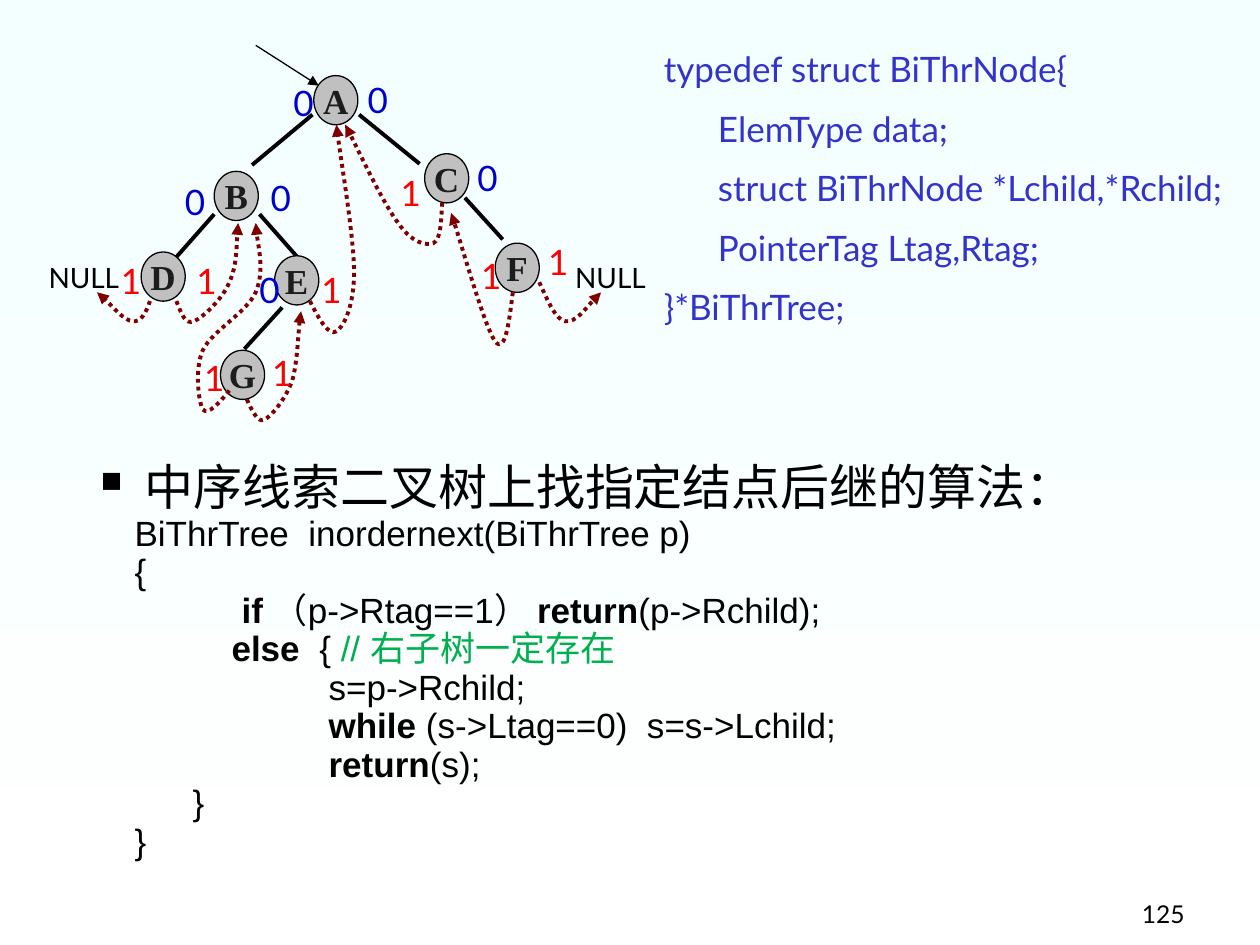
import dataclasses

import lxml.etree
import pptx
import pptx.dml.color
import pptx.enum.dml
import pptx.enum.shapes
import pptx.enum.text
import pptx.oxml.ns
import pptx.util

Inches, Pt, qn = pptx.util.Inches, pptx.util.Pt, pptx.oxml.ns.qn
ALIGN, ANCHOR = pptx.enum.text.PP_ALIGN, pptx.enum.text.MSO_ANCHOR


@dataclasses.dataclass(frozen=True)
class Theme:
    ink: str = "000000"
    node_ink: str = "1C1C1C"
    node_fill: str = "C0C0C0"
    thread: str = "800000"
    struct: str = "3333CC"
    child_tag: str = "0000CC"
    thread_tag: str = "FF0000"
    comment: str = "00B050"
    sky: str = "F3FFFF"
    white: str = "FFFFFF"
    sans: str = "Lato"
    serif: str = "Times New Roman"
    code: str = "Arial"
    heading_size: int = 28
    body_size: int = 20
    null_size: int = 16
    page_size: int = 14
    thin: float = 0.75
    thick: float = 2.25


def rgb(value):
    return pptx.dml.color.RGBColor.from_string(value)


def assign(target, values):
    for name, value in values.items():
        setattr(target, name, value)


class TreeSlide:
    """Draw the parts of a threaded-tree slide in one theme."""

    def __init__(self, deck, theme):
        self.theme = theme
        self.slide = deck.slides.add_slide(deck.slide_layouts[6])

    def background(self):
        fill = self.slide.background.fill
        fill.gradient()
        fill.gradient_angle = 270
        for stop, color, position in zip(fill.gradient_stops, (self.theme.sky, self.theme.white), (0, 1)):
            assign(stop, {"position": position})
            stop.color.rgb = rgb(color)

    def add_words(self, paragraph, text, size, color, font, bold=False):
        run = paragraph.add_run()
        run.text = text
        assign(run.font, {"size": Pt(size), "name": font, "bold": bold})
        run.font.color.rgb = rgb(color)

    def indent(self, paragraph, left, first=0):
        properties = paragraph._p.get_or_add_pPr()
        properties.set("marL", str(Inches(left)))
        properties.set("indent", str(Inches(first)))
        return properties

    def frame(self, left, top, width, height, inset=0.1, anchor=ANCHOR.TOP):
        box = self.slide.shapes.add_textbox(Inches(left), Inches(top), Inches(width), Inches(height))
        assign(box.text_frame, {"word_wrap": True, "vertical_anchor": anchor,
                                "margin_left": Inches(inset), "margin_right": Inches(inset)})
        return box.text_frame

    def label(self, text, box, size, color, align=ALIGN.LEFT, **layout):
        paragraph = self.frame(*box, **layout).paragraphs[0]
        paragraph.alignment = align
        self.add_words(paragraph, text, size, color, self.theme.sans)

    def tag(self, value, left, top, inset):
        color = self.theme.thread_tag if value else self.theme.child_tag
        self.label(str(value), (left, top, 0.2, 0.43), self.theme.body_size, color, inset=inset)

    def stroke(self, shape, color, width, arrow=False, dash=None):
        assign(shape.line, {"width": Pt(width), "dash_style": dash})
        shape.line.color.rgb = rgb(color)
        if arrow:
            outline = shape._element.spPr.get_or_add_ln()
            lxml.etree.SubElement(outline, qn("a:tailEnd"), type="triangle")

    def line(self, start, end, width, arrow=False):
        connector = self.slide.shapes.add_connector(
            pptx.enum.shapes.MSO_CONNECTOR.STRAIGHT, *map(Inches, start + end))
        self.stroke(connector, self.theme.ink, width, arrow)
        lxml.etree.SubElement(connector._element.spPr, qn("a:effectLst"))

    def node(self, name, left, top):
        oval = self.slide.shapes.add_shape(pptx.enum.shapes.MSO_SHAPE.OVAL, Inches(left), Inches(top),
                                           Inches(0.35), Inches(0.39))
        oval.shadow.inherit = False
        oval.fill.solid()
        oval.fill.fore_color.rgb = rgb(self.theme.node_fill)
        self.stroke(oval, self.theme.ink, self.theme.thin)
        assign(oval.text_frame, {"word_wrap": False, "vertical_anchor": ANCHOR.MIDDLE})
        paragraph = oval.text_frame.paragraphs[0]
        paragraph.alignment = ALIGN.CENTER
        self.add_words(paragraph, name, self.theme.body_size, self.theme.node_ink, self.theme.serif, True)

    def thread(self, start, *controls):
        points = [tuple(map(Inches, point)) for point in controls]
        builder = self.slide.shapes.build_freeform(*map(Inches, start))
        builder.add_line_segments(points, close=False)
        curve = builder.convert_to_shape()
        segments = list(curve._element.iter(qn("a:lnTo")))
        for first in range(0, len(segments), 3):
            bezier = lxml.etree.Element(qn("a:cubicBezTo"))
            segments[first].addprevious(bezier)
            for segment in segments[first:first + 3]:
                bezier.append(segment[0])
                segment.getparent().remove(segment)
        curve.shadow.inherit = False
        curve.fill.background()
        self.stroke(curve, self.theme.thread, self.theme.thick, True, pptx.enum.dml.MSO_LINE.ROUND_DOT)

    def struct(self, lines):
        text = self.frame(5.17, 0.33, 4.83, 2.44)
        for row, (left, words) in enumerate(lines):
            paragraph = text.add_paragraph() if row else text.paragraphs[0]
            paragraph.space_before = Pt(10 if row else 0)
            self.indent(paragraph, left)
            self.add_words(paragraph, words, self.theme.body_size, self.theme.struct, self.theme.sans)

    def algorithm(self, heading, lines):
        theme = self.theme
        text = self.frame(0.58, 3.57, 9.03, 3.89)
        title = text.paragraphs[0]
        bullet = self.indent(title, 0.47, -0.35)
        lxml.etree.SubElement(bullet, qn("a:buSzPct"), val="60000")
        lxml.etree.SubElement(bullet, qn("a:buChar"), char="■")
        self.add_words(title, heading, theme.heading_size, theme.ink, theme.serif)
        for left, *runs in lines:
            paragraph = text.add_paragraph()
            paragraph.line_spacing = Pt(22)
            self.indent(paragraph, left)
            for words, bold, color in runs:
                self.add_words(paragraph, words, theme.body_size, color, theme.code, bold)


def main():
    deck = pptx.Presentation()
    assign(deck, {"slide_width": Inches(10), "slide_height": Inches(7.5)})
    theme = Theme()
    page = TreeSlide(deck, theme)
    page.background()

    def plain(words):
        return words, False, theme.ink

    def keyword(words):
        return words, True, theme.ink

    page.algorithm("中序线索二叉树上找指定结点后继的算法：", [
        (0.39, plain("BiThrTree  inordernext(BiThrTree p)")),
        (0.39, plain("{")),
        (1.24, keyword("if "), plain("（p->Rtag==1） "), keyword("return"), plain("(p->Rchild);")),
        (1.16, keyword("else  "), plain("{ "), ("// 右子树一定存在", False, theme.comment)),
        (1.93, plain("s=p->Rchild;")),
        (1.93, keyword("while"), plain(" (s->Ltag==0)  s=s->Lchild;")),
        (1.93, keyword("return"), plain("(s);")),
        (0.85, plain("}")),
        (0.39, plain("}"))])
    page.struct([(0, "typedef struct BiThrNode{"), (0.43, "ElemType data;"),
                 (0.43, "struct BiThrNode *Lchild,*Rchild;"),
                 (0.43, "PointerTag Ltag,Rtag;"), (0, "}*BiThrTree;")])

    for start, end in [((2.48, 0.91), (2, 1.31)), ((2.85, 0.91), (3.33, 1.3)), ((2.06, 1.7), (2.36, 2.04)),
                       ((2.24, 2.44), (1.94, 2.77)), ((1.7, 1.7), (1.4, 2.04)), ((3.69, 1.57), (3.99, 1.9))]:
        page.line(start, end, theme.thick)
    for name, left, top in [("B", 1.7, 1.36), ("A", 2.49, 0.6), ("C", 3.37, 1.22), ("E", 2.18, 2.03),
                            ("D", 1.12, 2), ("G", 1.75, 2.78), ("F", 3.93, 1.93)]:
        page.node(name, left, top)
    page.line((2.03, 0.36), (2.53, 0.68), theme.thin, arrow=True)

    for points in [
        [(4.07, 2.32), (4.04, 2.56), (4.01, 2.81), (3.93, 2.71), (3.85, 2.6), (3.64, 1.86), (3.58, 1.69)],
        [(4.28, 2.24), (4.35, 2.39), (4.41, 2.54), (4.49, 2.55), (4.57, 2.56), (4.73, 2.35), (4.77, 2.32)],
        [(1.19, 2.39), (1.16, 2.48), (1.12, 2.56), (1.05, 2.55), (0.98, 2.54), (0.82, 2.35), (0.77, 2.32)],
        [(1.4, 2.39), (1.44, 2.49), (1.47, 2.58), (1.54, 2.55), (1.61, 2.52), (1.77, 2.37), (1.82, 2.24),
         (1.88, 2.11), (1.88, 1.85), (1.89, 1.77)],
        [(1.82, 3.1), (1.74, 3.2), (1.65, 3.3), (1.61, 3.25), (1.58, 3.2), (1.54, 2.94), (1.61, 2.78),
         (1.68, 2.63), (1.96, 2.48), (2.03, 2.32), (2.1, 2.15), (2.03, 1.86), (2.03, 1.77)],
        [(1.96, 3.17), (2, 3.26), (2.05, 3.36), (2.1, 3.33), (2.16, 3.3), (2.27, 3.16), (2.32, 3.02),
         (2.36, 2.88), (2.37, 2.56), (2.39, 2.47)],
        [(2.46, 2.39), (2.53, 2.53), (2.61, 2.67), (2.67, 2.63), (2.73, 2.59), (2.81, 2.43), (2.81, 2.16),
         (2.81, 1.89), (2.69, 1.18), (2.67, 0.99)],
        [(3.51, 1.61), (3.5, 1.76), (3.5, 1.9), (3.44, 1.93), (3.38, 1.95), (3.27, 1.93), (3.16, 1.77),
         (3.04, 1.61), (2.81, 1.12), (2.74, 0.99)],
    ]:
        page.thread(*points)

    for value, inset, places in [
        (0, 0.1, [(2.82, 0.57), (2.23, 0.6), (2.05, 1.35), (3.69, 1.19), (1.37, 1.38)]),
        (0, 0.06, [(2, 2.08)]),
        (1, 0.02, [(3.16, 1.31)]),
        (1, 0.06, [(4.29, 1.86), (3.76, 1.97), (2.49, 2.08), (2.1, 2.74), (1.56, 2.78), (0.9, 2.01), (1.5, 2.01)]),
    ]:
        for left, top in places:
            page.tag(value, left, top, inset)
    for left in (0.27, 4.45):
        page.label("NULL", (left, 2.02, 0.79, 0.37), theme.null_size, theme.ink, ALIGN.CENTER, inset=0)
    page.label("125", (7.42, 6.92, 2.08, 0.5), theme.page_size, theme.ink, ALIGN.RIGHT, anchor=ANCHOR.BOTTOM)
    deck.save("out.pptx")


if __name__ == "__main__":
    main()
